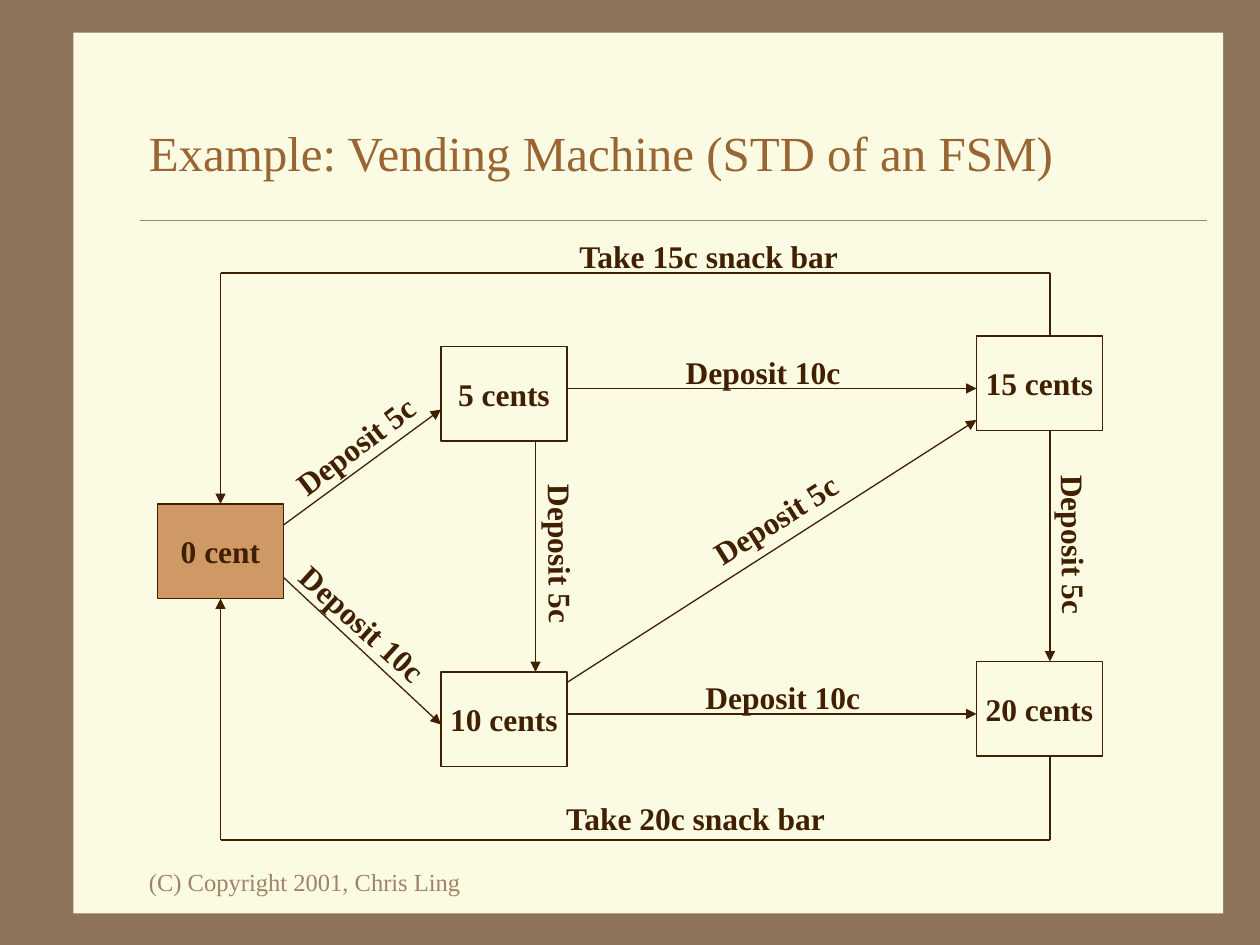
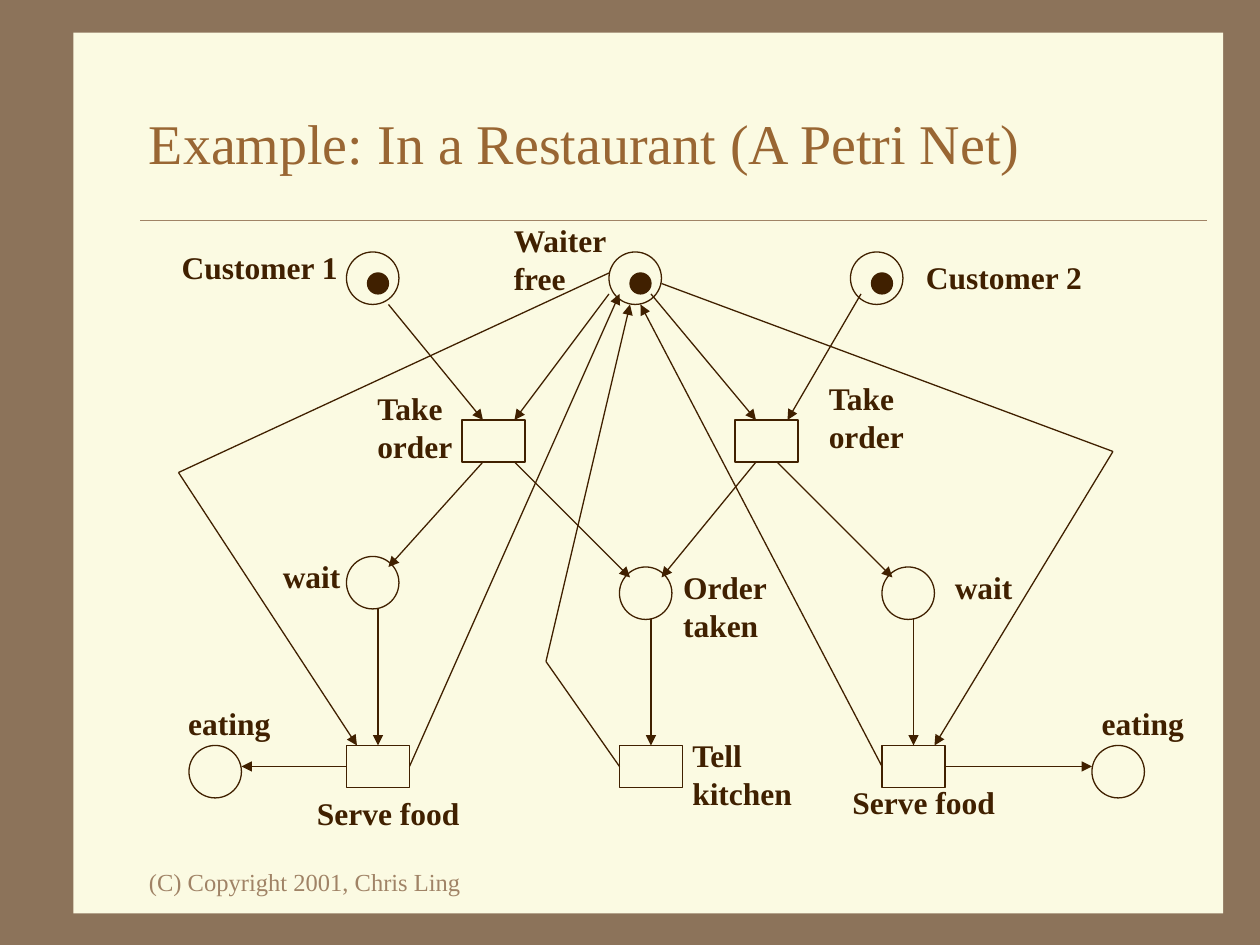
from typing import NamedTuple, Optional

import lxml.etree
import pptx
import pptx.dml.color
import pptx.enum.shapes
import pptx.enum.text
import pptx.oxml.ns
import pptx.util

Color = pptx.dml.color.RGBColor
Kind = pptx.enum.shapes.MSO_SHAPE
Align = pptx.enum.text.PP_ALIGN
Anchor = pptx.enum.text.MSO_ANCHOR
Point = tuple[int, int]

BROWN = Color(0x8C, 0x73, 0x5A)
CREAM = Color(0xFB, 0xFA, 0xE2)
TAN = Color(0xA0, 0x83, 0x66)
RUST = Color(0x99, 0x66, 0x33)
DARK = Color(0x40, 0x20, 0x00)
ORANGE = Color(0xCE, 0x99, 0x64)

FONT = "Times New Roman"
EMU_PER_PX = 9525
LINE_POINTS = 0.75
STATE_SIZE = (96, 72)
PLACE_SIZE = (40, 40)
TRANSITION_SIZE = (48, 32)
TOKEN_SIZE = (16, 16)
TOKEN_INSET = 16

LABEL_WIDTHS = {
    "Deposit 5c": 125, "Deposit 10c": 137,
    "Take 15c snack bar": 218, "Take 20c snack bar": 218,
    "Waiter\nfree": 94, "Customer 1": 138, "Customer 2": 138,
    "Take\norder": 80, "Order\ntaken": 86, "Tell\nkitchen": 98,
    "wait": 63, "Serve food": 128, "eating": 82,
}


class State(NamedTuple):
    text: str
    left: int
    top: int
    fill: Color = CREAM


class Label(NamedTuple):
    text: str
    left: int
    top: int
    rotation: float = 0


class Place(NamedTuple):
    left: int
    top: int
    has_token: bool = False


STATES = [
    State("0 cent", 120, 384, ORANGE),
    State("5 cents", 336, 264),
    State("10 cents", 336, 512),
    State("15 cents", 744, 256),
    State("20 cents", 744, 504),
]
STATE_ARROWS: list[list[Point]] = [
    [(216, 400), (336, 312)],
    [(216, 440), (336, 552)],
    [(432, 296), (744, 296)],
    [(432, 544), (744, 544)],
    [(408, 336), (408, 512)],
    [(432, 520), (744, 320)],
    [(800, 328), (800, 504)],
    [(800, 576), (800, 640), (168, 640), (168, 456)],
    [(800, 256), (800, 208), (168, 208), (168, 384)],
]
STATE_LABELS = [
    Label("Deposit 5c", 208, 320, 322.8),
    Label("Deposit 10c", 208, 456, 42.2),
    Label("Deposit 10c", 513, 264),
    Label("Deposit 10c", 528, 512),
    Label("Deposit 5c", 365, 403, 89.5),
    Label("Deposit 5c", 528, 376, 327.9),
    Label("Deposit 5c", 756, 396, 89.4),
    Label("Take 20c snack bar", 422, 604),
    Label("Take 15c snack bar", 432, 176),
]

PLACES = [
    Place(264, 192, True), Place(464, 192, True), Place(648, 192, True),
    Place(264, 424), Place(472, 432), Place(672, 432),
    Place(144, 568), Place(832, 568),
]
TRANSITIONS: list[Point] = [
    (352, 320), (560, 320), (264, 568), (472, 568), (672, 568),
]
ARCS: list[list[Point]] = [
    [(296, 232), (368, 320)],
    [(464, 224), (392, 320)],
    [(496, 224), (576, 320)],
    [(656, 224), (600, 320)],
    [(368, 352), (296, 432)],
    [(392, 352), (480, 440)],
    [(576, 352), (504, 440)],
    [(592, 352), (680, 440)],
    [(288, 464), (288, 568)],
    [(496, 472), (496, 568)],
    [(696, 472), (696, 568)],
    [(264, 584), (184, 584)],
    [(720, 584), (832, 584)],
    [(312, 584), (472, 224)],
    [(672, 584), (488, 232)],
    [(472, 584), (416, 504), (480, 232)],
    [(504, 216), (848, 344), (712, 568)],
    [(464, 208), (136, 360), (272, 568)],
]
NET_LABELS = [
    Label("Waiter\nfree", 382, 164),
    Label("Customer 1", 129, 184),
    Label("Customer 2", 696, 192),
    Label("Take\norder", 278, 292),
    Label("Take\norder", 622, 284),
    Label("Order\ntaken", 511, 428),
    Label("Tell\nkitchen", 518, 556),
    Label("wait", 206, 420),
    Label("wait", 718, 428),
    Label("Serve food", 232, 600),
    Label("Serve food", 640, 592),
    Label("eating", 134, 532),
    Label("eating", 830, 532),
]


def px(length: int) -> pptx.util.Emu:
    return pptx.util.Emu(length * EMU_PER_PX)


def write(shape, text: str, size: int, color: Color, bold: bool = False,
          align: Align = Align.LEFT, anchor: Anchor = Anchor.TOP,
          wrap: bool = False) -> None:
    frame = shape.text_frame
    frame.text = text
    frame.word_wrap = wrap
    frame.vertical_anchor = anchor
    for para in frame.paragraphs:
        para.alignment = align
        para.font.name = FONT
        para.font.size = pptx.util.Pt(size)
        para.font.bold = bold
        para.font.color.rgb = color


def add_text_box(page, left: int, top: int, width: int, height: int):
    return page.shapes.add_textbox(px(left), px(top), px(width), px(height))


def add_figure(page, kind: Kind, left: int, top: int, size: Point,
               fill: Optional[Color] = None, line: Optional[Color] = DARK):
    """Draw a preset shape; None leaves out the fill or the line."""
    figure = page.shapes.add_shape(kind, px(left), px(top), px(size[0]), px(size[1]))
    figure.shadow.inherit = False
    if fill is None:
        figure.fill.background()
    else:
        figure.fill.solid()
        figure.fill.fore_color.rgb = fill
    if line is None:
        figure.line.fill.background()
    else:
        figure.line.color.rgb = line
        figure.line.width = pptx.util.Pt(LINE_POINTS)
    return figure


def add_line(page, start: Point, end: Point, color: Color = DARK,
             width: float = LINE_POINTS, arrow: bool = False) -> None:
    connector = page.shapes.add_connector(
        pptx.enum.shapes.MSO_CONNECTOR.STRAIGHT,
        px(start[0]), px(start[1]), px(end[0]), px(end[1]))
    connector.line.color.rgb = color
    connector.line.width = pptx.util.Pt(width)
    qn = pptx.oxml.ns.qn
    properties = connector._element.spPr
    if arrow:
        lxml.etree.SubElement(properties.find(qn("a:ln")), qn("a:tailEnd"), type="triangle")
    lxml.etree.SubElement(properties, qn("a:effectLst"))


def add_route(page, points: list[Point]) -> None:
    """Join the points with lines, the last one ending in an arrowhead."""
    last = len(points) - 2
    for index, (start, end) in enumerate(zip(points, points[1:])):
        add_line(page, start, end, arrow=index == last)


def add_label(page, label: Label) -> None:
    height = 67 if "\n" in label.text else 38
    box = add_text_box(page, label.left, label.top, LABEL_WIDTHS[label.text], height)
    box.rotation = label.rotation
    write(box, label.text, 18, DARK, bold=True)


def add_page(deck, title: str, top: int, height: int, size: int):
    """Add a slide with the shared panel, rule, footer and title."""
    page = deck.slides.add_slide(deck.slide_layouts[6])
    page.background.fill.solid()
    page.background.fill.fore_color.rgb = BROWN
    add_figure(page, Kind.RECTANGLE, 56, 25, (876, 671), CREAM, None)
    add_line(page, (107, 168), (920, 168), TAN, 0.25)
    write(add_text_box(page, 104, 656, 264, 32),
          "(C) Copyright 2001, Chris Ling", 14, TAN, wrap=True)
    write(add_text_box(page, 104, top, 816, height),
          title, size, RUST, anchor=Anchor.MIDDLE, wrap=True)
    return page


def build_vending_machine(deck) -> None:
    page = add_page(deck, "Example: Vending Machine (STD of an FSM)", 72, 88, 28)
    for state in STATES:
        box = add_figure(page, Kind.RECTANGLE, state.left, state.top, STATE_SIZE, state.fill)
        write(box, state.text, 18, DARK, True, Align.CENTER, Anchor.MIDDLE)
    for points in STATE_ARROWS:
        add_route(page, points)
    for label in STATE_LABELS:
        add_label(page, label)


def build_restaurant(deck) -> None:
    page = add_page(deck, "Example: In a Restaurant (A Petri Net)", 48, 120, 32)
    for place in PLACES:
        add_figure(page, Kind.OVAL, place.left, place.top, PLACE_SIZE)
        if place.has_token:
            add_figure(page, Kind.OVAL, place.left + TOKEN_INSET,
                       place.top + TOKEN_INSET, TOKEN_SIZE, DARK)
    for left, top in TRANSITIONS:
        add_figure(page, Kind.RECTANGLE, left, top, TRANSITION_SIZE)
    for points in ARCS:
        add_route(page, points)
    for label in NET_LABELS:
        add_label(page, label)


def main() -> None:
    deck = pptx.Presentation()
    deck.slide_width = px(960)
    deck.slide_height = px(720)
    build_vending_machine(deck)
    build_restaurant(deck)
    deck.save("out.pptx")


if __name__ == "__main__":
    main()
